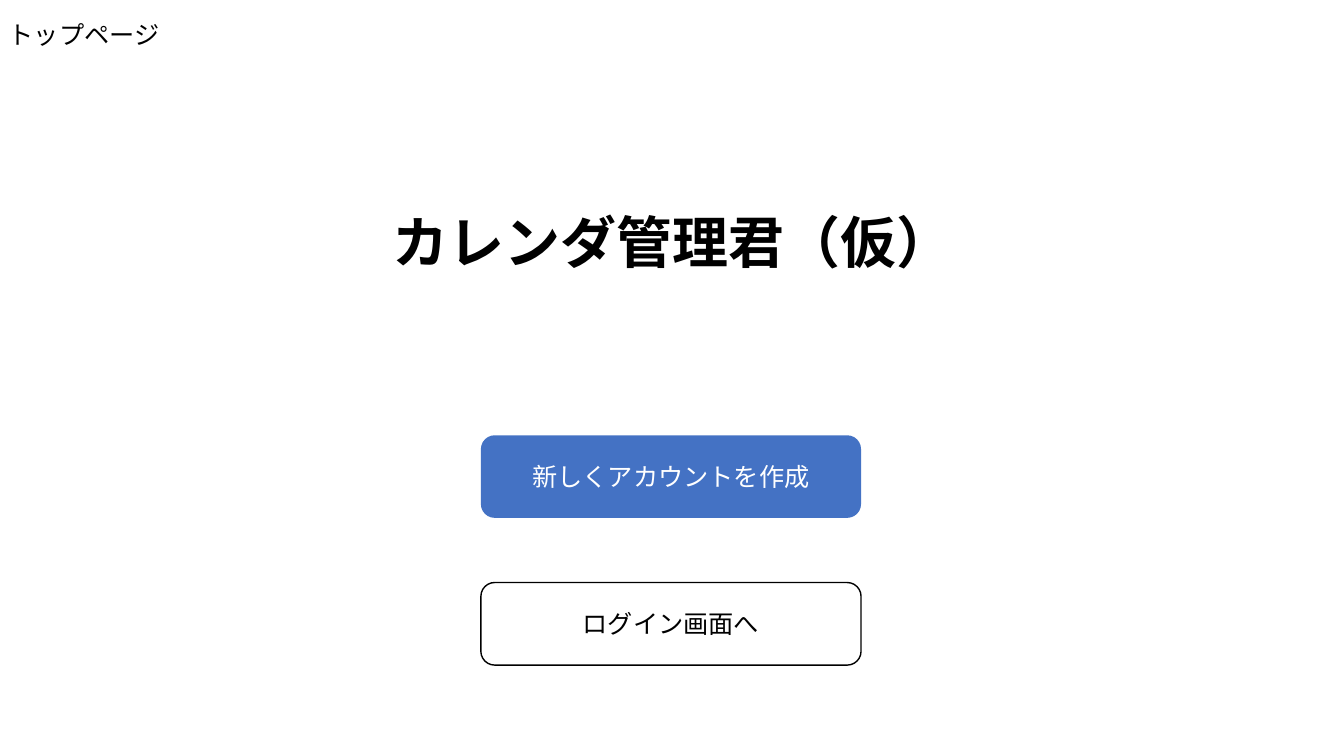
from lxml.etree import SubElement
from pptx import Presentation
from pptx.dml.color import RGBColor
from pptx.enum.shapes import MSO_SHAPE as Shape
from pptx.enum.text import MSO_ANCHOR as Anchor, MSO_AUTO_SIZE as AutoSize, PP_ALIGN as Align
from pptx.oxml.ns import qn
from pptx.util import Cm, Pt

BLUE, WHITE, BLACK = "4472C4", "FFFFFF", "000000"
LATIN, JAPANESE = "Calibri", "Noto Sans CJK JP"


def color(value):
    return RGBColor.from_string(value)


class PageBuilder:
    """Holds the text style and the current slide."""

    def __init__(self, page):
        self.page = page
        self.style = {"name": LATIN, "size": Pt(18), "bold": False}

    def add_text(self, frame, text, ink, **changes):
        frame.word_wrap = True
        para = frame.paragraphs[0]
        span = para.add_run()
        span.text = text
        for key, value in {**self.style, **changes}.items():
            setattr(span.font, key, value)
        span.font.color.rgb = color(ink)
        # Typeface for the Japanese characters
        properties = span._r.get_or_add_rPr()
        latin = properties.find(qn("a:latin"))
        latin.addnext(SubElement(properties, qn("a:ea"), typeface=JAPANESE))
        return para

    def label(self, text, left, top, width, height, **changes):
        box = self.page.shapes.add_textbox(Cm(left), Cm(top), Cm(width), Cm(height))
        self.add_text(box.text_frame, text, BLACK, **changes)
        box.text_frame.auto_size = AutoSize.SHAPE_TO_FIT_TEXT

    def button(self, text, left, top, width, height, fill, ink, line=None):
        box = self.page.shapes.add_shape(
            Shape.ROUNDED_RECTANGLE, Cm(left), Cm(top), Cm(width), Cm(height))
        box.shadow.inherit = False
        box.fill.solid()
        box.fill.fore_color.rgb = color(fill)
        if line:
            box.line.color.rgb = color(line)
            box.line.width = Pt(1)
        else:
            box.line.fill.background()
        box.text_frame.vertical_anchor = Anchor.MIDDLE
        self.add_text(box.text_frame, text, ink).alignment = Align.CENTER


def main():
    deck = Presentation()
    deck.slide_width, deck.slide_height = Cm(33.87), Cm(19.05)
    builder = PageBuilder(deck.slides.add_slide(deck.slide_layouts[6]))

    # Buttons
    buttons = [
        ("新しくアカウントを作成", BLUE, WHITE, None),
        ("ログイン画面へ", WHITE, BLACK, BLACK),
    ]
    for row, (text, fill, ink, line) in enumerate(buttons):
        builder.button(text, 12.12, 10.97 + row * 3.71, 9.58, 2.08, fill, ink, line)

    # Title and page name
    builder.label("カレンダ管理君（仮）", 9.65, 5.11, 15.42, 1.96,
                  name=JAPANESE, size=Pt(40), bold=True)
    builder.label("トップページ", -0.03, 0.36, 7.62, 1.02)

    deck.save("out.pptx")


if __name__ == "__main__":
    main()
